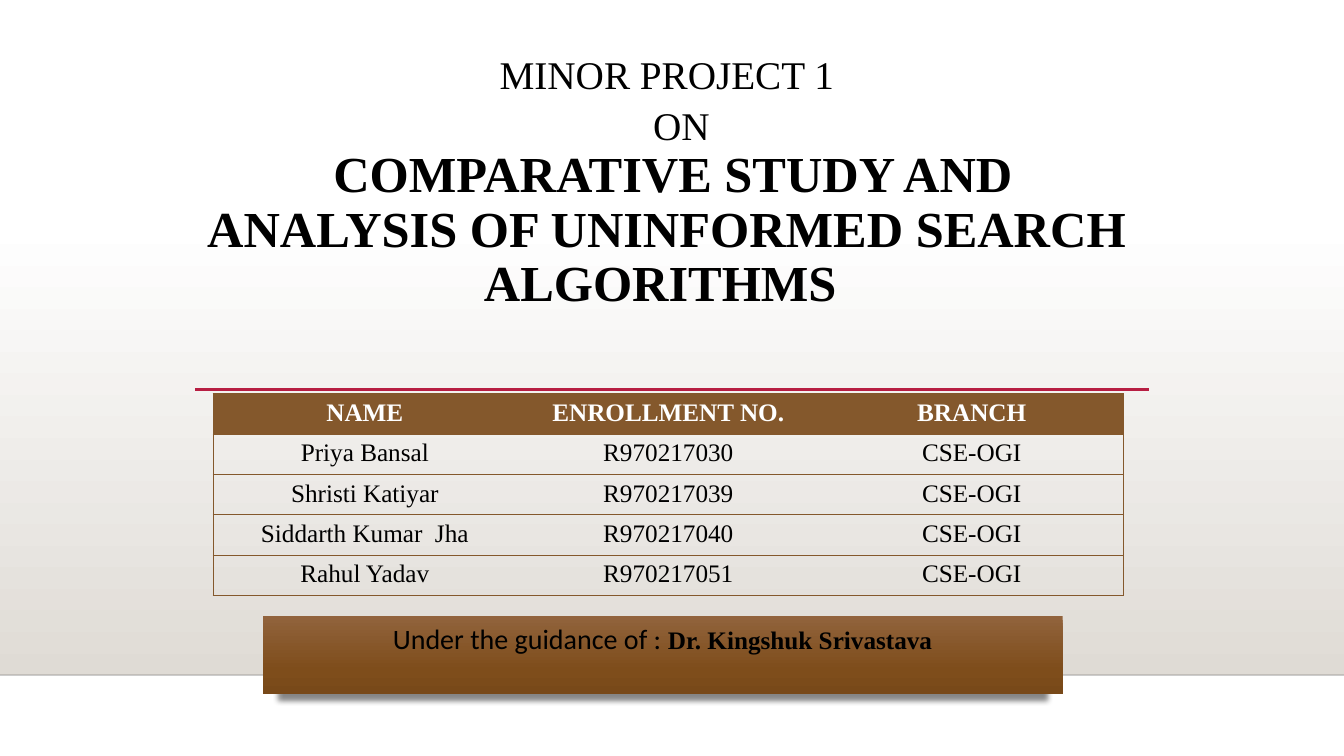
from lxml.etree import SubElement
from pptx import Presentation
from pptx.dml.color import RGBColor
from pptx.enum.shapes import MSO_CONNECTOR, MSO_SHAPE
from pptx.enum.text import MSO_ANCHOR, PP_ALIGN
from pptx.oxml import parse_xml
from pptx.oxml.ns import nsdecls, qn
from pptx.util import Pt

PX = 9525
WIDTH, HEIGHT = 1280, 720
COLORS = {
    "black": "000000",
    "white": "FFFFFF",
    "floor": "DFDBD5",
    "ground": "000001",
    "accent": "B71E42",
    "brown": "84582C",
    "banner_top": "91633C",
    "banner_middle": "7E4D1B",
    "banner_bottom": "784919",
}
SERIF, SANS = "Times New Roman", "Calibri"
STUDENTS = [
    ("NAME", "ENROLLMENT NO.", "BRANCH"),
    ("Priya Bansal", "R970217030", "CSE-OGI"),
    ("Shristi Katiyar", "R970217039", "CSE-OGI"),
    ("Siddarth Kumar  Jha", "R970217040", "CSE-OGI"),
    ("Rahul Yadav", "R970217051", "CSE-OGI"),
]


def px(*lengths):
    return [length * PX for length in lengths]


def write(paragraph, text, size=18, font=SERIF, color="black", bold=False, pitch=None, shift=0):
    """Add a centred run; pitch is the line height in points, shift moves the line by px."""
    paragraph.alignment = PP_ALIGN.CENTER
    if pitch:
        paragraph.line_spacing = Pt(pitch)
    if shift:
        side = "marL" if shift > 0 else "marR"
        paragraph._p.get_or_add_pPr().set(side, str(2 * abs(shift) * PX))
    run = paragraph.add_run()
    run.text = text
    run.font.size = Pt(size)
    run.font.name = font
    run.font.bold = bold
    run.font.color.rgb = RGBColor.from_string(COLORS[color])


def add_gradient_box(slide, box, stops):
    """Add a borderless rectangle shaded downwards through (percent, colour) stops."""
    shape = slide.shapes.add_shape(MSO_SHAPE.RECTANGLE, *px(*box))
    shape.shadow.inherit = False
    shape.line.fill.background()
    marks = "".join(
        f'<a:gs pos="{percent * 1000}"><a:srgbClr val="{COLORS[color]}"/></a:gs>'
        for percent, color in stops
    )
    gradient = parse_xml(
        f'<a:gradFill {nsdecls("a")} rotWithShape="1"><a:gsLst>{marks}</a:gsLst>'
        '<a:lin ang="5400000" scaled="0"/></a:gradFill>'
    )
    shape._element.spPr.find(qn("a:prstGeom")).addnext(gradient)
    return shape


def add_rule(slide, left, top, width, color, weight, opacity=100):
    rule = slide.shapes.add_connector(
        MSO_CONNECTOR.STRAIGHT, *px(left, top, left + width, top)
    )
    rule.line.width = Pt(weight)
    rule.line.color.rgb = RGBColor.from_string(COLORS[color])
    properties = rule._element.spPr
    if opacity < 100:
        tint = next(properties.iter(qn("a:srgbClr")))
        SubElement(tint, qn("a:alpha")).set("val", str(opacity * 1000))
    SubElement(properties, qn("a:effectLst"))


def add_backdrop(slide, left, top, width, height):
    add_gradient_box(slide, (left, top, width, height), [(0, "white"), (100, "floor")])
    add_rule(slide, left, top + height, width, "ground", 1, opacity=20)


def add_heading(slide, left, top, width, height):
    frame = slide.shapes.add_textbox(*px(left, top, width, height)).text_frame
    frame.word_wrap = True
    frame.vertical_anchor = MSO_ANCHOR.BOTTOM
    frame.margin_bottom = 43 * PX
    write(frame.paragraphs[0], "MINOR PROJECT 1", size=28, pitch=36.4, shift=-5)
    write(frame.add_paragraph(), "ON", size=28, pitch=36.4, shift=14)
    write(
        frame.add_paragraph(),
        " COMPARATIVE STUDY AND ANALYSIS OF UNINFORMED SEARCH ALGORITHMS ",
        size=36, bold=True, pitch=39,
    )
    add_rule(slide, left, top + height + 31, width, "accent", 2.5)


def set_borders(cell, first, last):
    """Rule a cell above and below, and at the sides only on the table's edge."""
    properties = cell._tc.get_or_add_tcPr()
    for side, ruled in (("L", first), ("R", last), ("T", True), ("B", True)):
        border = SubElement(properties, qn(f"a:ln{side}"), w=str(Pt(0.75)))
        if ruled:
            fill = SubElement(border, qn("a:solidFill"))
            SubElement(fill, qn("a:srgbClr"), val=COLORS["brown"])
        else:
            SubElement(border, qn("a:noFill"))


def add_students(slide, left, top, width, row_height):
    row_count, column_count = len(STUDENTS), len(STUDENTS[0])
    table = slide.shapes.add_table(
        row_count, column_count, *px(left, top, width, row_height * row_count)
    ).table
    table.horz_banding = False
    for r, student in enumerate(STUDENTS):
        table.rows[r].height = row_height * PX
        header = r == 0
        for c, value in enumerate(student):
            cell = table.cell(r, c)
            set_borders(cell, c == 0, c == column_count - 1)
            if header:
                cell.fill.solid()
                cell.fill.fore_color.rgb = RGBColor.from_string(COLORS["brown"])
            else:
                cell.fill.background()
            write(
                cell.text_frame.paragraphs[0], value,
                color="white" if header else "black", bold=header,
            )


def add_guide_banner(slide, *box):
    banner = add_gradient_box(
        slide, box, [(0, "banner_top"), (69, "banner_middle"), (100, "banner_bottom")]
    )
    effects = banner._element.spPr.find(qn("a:effectLst"))
    shadow = SubElement(
        effects, qn("a:outerShdw"), blurRad=str(Pt(4)), dist=str(Pt(4)),
        dir="5400000", sx="96000", algn="ctr", rotWithShape="0",
    )
    tint = SubElement(shadow, qn("a:srgbClr"), val=COLORS["black"])
    SubElement(tint, qn("a:alpha"), val="48000")
    frame = banner.text_frame
    frame.word_wrap = True
    frame.vertical_anchor = MSO_ANCHOR.TOP
    guidance = frame.paragraphs[0]
    write(guidance, "Under the guidance of : ", size=20, font=SANS)
    write(guidance, "Dr. Kingshuk Srivastava", bold=True)


def main():
    presentation = Presentation()
    presentation.slide_width, presentation.slide_height = px(WIDTH, HEIGHT)
    slide = presentation.slides.add_slide(presentation.slide_layouts[6])
    add_backdrop(slide, 0, 212, WIDTH, 431)
    add_heading(slide, 186, 24, 908, 316)
    add_students(slide, 203, 375, 867, 36)
    add_guide_banner(slide, 250, 587, 762, 74)
    presentation.save("out.pptx")


if __name__ == "__main__":
    main()
